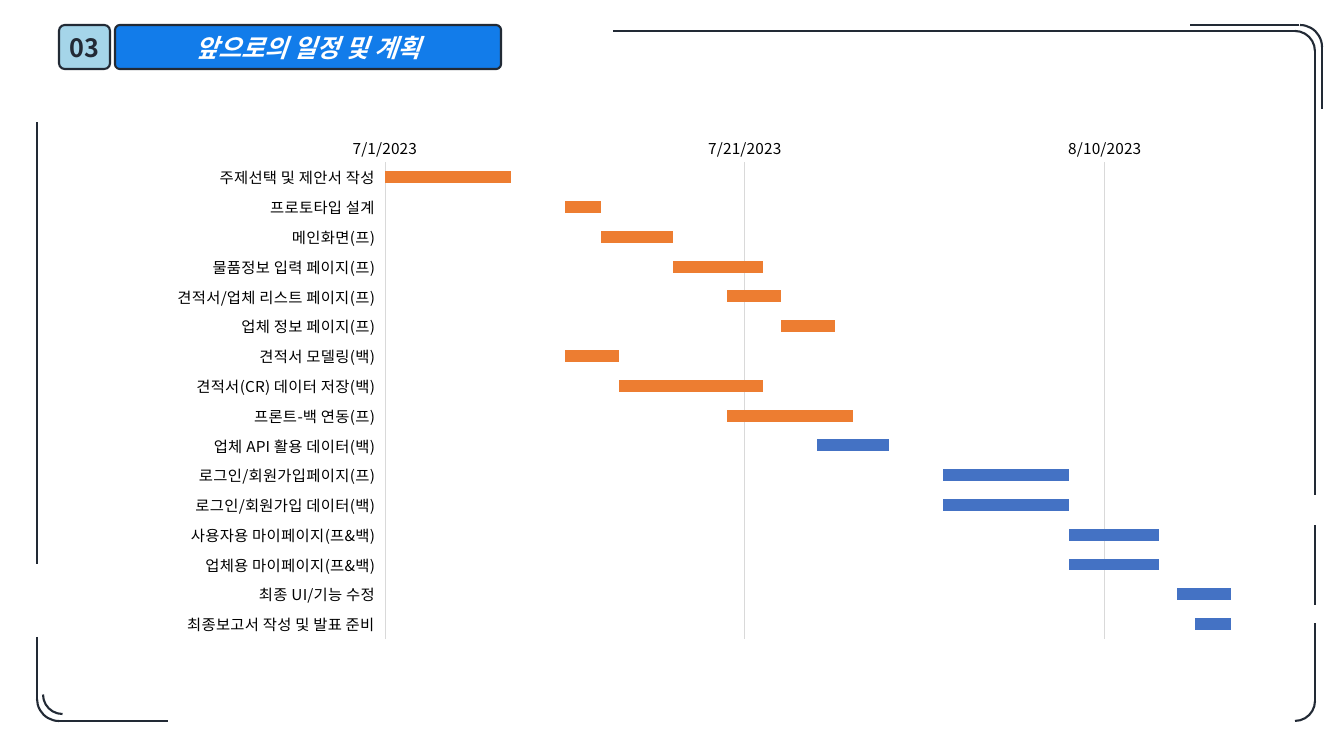
"""Build the project schedule slide: title badge, corner frame and Gantt chart."""
from dataclasses import dataclass

from lxml.etree import SubElement
from pptx import Presentation
from pptx.chart.data import CategoryChartData
from pptx.dml.color import RGBColor
from pptx.enum.chart import XL_AXIS_CROSSES as Crosses
from pptx.enum.chart import XL_CHART_TYPE as ChartType
from pptx.enum.chart import XL_TICK_LABEL_POSITION as LabelPosition
from pptx.enum.chart import XL_TICK_MARK as TickMark
from pptx.enum.shapes import MSO_CONNECTOR as Connector
from pptx.enum.shapes import MSO_SHAPE as Shape
from pptx.enum.text import MSO_ANCHOR as Anchor
from pptx.enum.text import PP_ALIGN as Align
from pptx.oxml.ns import qn
from pptx.util import Pt

SECTION = "03"
TITLE = "앞으로의 일정 및 계획"

FIRST_DAY = 45108
SPAN_DAYS = 47
GRID_DAYS = 20
DONE_TASKS = [
    ("주제선택 및 제안서 작성", 0, 7),
    ("프로토타입 설계", 10, 2),
    ("메인화면(프)", 12, 4),
    ("물품정보 입력 페이지(프)", 16, 5),
    ("견적서/업체 리스트 페이지(프)", 19, 3),
    ("업체 정보 페이지(프)", 22, 3),
    ("견적서 모델링(백)", 10, 3),
    ("견적서(CR) 데이터 저장(백)", 13, 8),
    ("프론트-백 연동(프)", 19, 7),
]
PLANNED_TASKS = [
    ("업체 API 활용 데이터(백)", 24, 4),
    ("로그인/회원가입페이지(프)", 31, 7),
    ("로그인/회원가입 데이터(백)", 31, 7),
    ("사용자용 마이페이지(프&백)", 38, 5),
    ("업체용 마이페이지(프&백)", 38, 5),
    ("최종 UI/기능 수정", 44, 4),
    ("최종보고서 작성 및 발표 준비", 45, 2),
]

TITLE_BOX = (115, 25, 386, 44)
SECTION_BOX = (59, 25, 51, 44)
CHART_BOX = (139, 137, 1115, 544)
PLOT_BOX = (385, 148, 846, 490)
FRAME_CORNERS = [
    (1275, 31, 40, 0),
    (1278, 25, 44, 0),
    (1275, 681, 40, 90),
    (43, 675, 39, 180),
    (37, 677, 44, 180),
]
FRAME_LINES = [
    (1295, 31, 613, 31),
    (1315, 495, 1315, 51),
    (1299, 25, 1190, 25),
    (1322, 109, 1322, 47),
    (1315, 605, 1315, 525),
    (1315, 703, 1315, 623),
    (58, 721, 168, 721),
    (37, 637, 37, 700),
    (37, 564, 37, 122),
]


@dataclass(frozen=True)
class Theme:
    ink: str = "222A35"
    title_fill: str = "127CEA"
    section_fill: str = "A5D5E9"
    white: str = "FFFFFF"
    label: str = "000000"
    grid: str = "D9D9D9"
    done: str = "ED7D31"
    planned: str = "4472C4"
    face: str = "Noto Sans CJK KR"
    title_size: int = 18
    label_size: int = 11
    frame_width: float = 1.5
    grid_width: float = 0.75


THEME = Theme()


def px(length):
    return round(length * 914400 / 100.8)


def style_font(font, size, color, bold=False, italic=False):
    font.name = THEME.face
    font.size = Pt(size)
    font.bold = bold
    font.italic = italic
    font.color.rgb = RGBColor.from_string(color)
    SubElement(font._rPr, qn("a:ea"), typeface=THEME.face)


def style_line(line, color, width):
    line.color.rgb = RGBColor.from_string(color)
    line.width = Pt(width)


def paint(fill, color):
    fill.solid()
    fill.fore_color.rgb = RGBColor.from_string(color)


def add_badge(slide, box, wording, fill, color, radius, wrap, italic):
    badge = slide.shapes.add_shape(Shape.ROUNDED_RECTANGLE, *map(px, box))
    badge.adjustments[0] = radius
    badge.shadow.inherit = False
    paint(badge.fill, fill)
    style_line(badge.line, THEME.ink, THEME.frame_width)
    frame = badge.text_frame
    frame.word_wrap = wrap
    frame.vertical_anchor = Anchor.MIDDLE
    heading = frame.paragraphs[0]
    heading.text = wording
    heading.alignment = Align.CENTER
    style_font(heading.font, THEME.title_size, color, True, italic)


def add_frame(slide):
    for left, top, size, turn in FRAME_CORNERS:
        corner = slide.shapes.add_shape(Shape.ARC, px(left), px(top), px(size), px(size))
        corner.rotation = turn
        corner.shadow.inherit = False
        corner.fill.background()
        style_line(corner.line, THEME.ink, THEME.frame_width)
    for ends in FRAME_LINES:
        edge = slide.shapes.add_connector(Connector.STRAIGHT, *map(px, ends))
        style_line(edge.line, THEME.ink, THEME.frame_width)
        SubElement(edge._element.spPr, qn("a:effectLst"))


def place_plot(chart):
    plot_area = chart._chartSpace.chart.plotArea
    for old_layout in plot_area.findall(qn("c:layout")):
        plot_area.remove(old_layout)
    layout = SubElement(plot_area, qn("c:layout"))
    plot_area.insert(0, layout)
    manual = SubElement(layout, qn("c:manualLayout"))
    left, top, width, height = CHART_BOX
    plot_left, plot_top, plot_width, plot_height = PLOT_BOX
    settings = {
        "layoutTarget": "inner", "xMode": "edge", "yMode": "edge",
        "x": (plot_left - left) / width, "y": (plot_top - top) / height,
        "w": plot_width / width, "h": plot_height / height,
    }
    for tag, setting in settings.items():
        SubElement(manual, qn(f"c:{tag}"), val=str(setting))


def add_schedule(slide):
    names, offsets, days = zip(*DONE_TASKS, *PLANNED_TASKS)
    schedule = CategoryChartData()
    schedule.categories = names
    schedule.add_series("Series 1", [FIRST_DAY + offset for offset in offsets])
    schedule.add_series("Series 2", days)
    chart = slide.shapes.add_chart(
        ChartType.BAR_STACKED, *map(px, CHART_BOX), schedule).chart
    chart.has_legend = False
    chart.has_title = False
    style_font(chart.font, THEME.label_size, THEME.label)
    place_plot(chart)

    bars = chart.plots[0]
    bars.gap_width = 150
    bars.overlap = 100
    bars.vary_by_categories = False
    starts, durations = bars.series
    starts.format.fill.background()
    starts.format.line.fill.background()
    paint(durations.format.fill, THEME.planned)
    for index in range(len(DONE_TASKS)):
        paint(durations.points[index].format.fill, THEME.done)

    tasks, dates = chart.category_axis, chart.value_axis
    for axis in (tasks, dates):
        axis.major_tick_mark = axis.minor_tick_mark = TickMark.NONE
        style_font(axis.tick_labels.font, THEME.label_size, THEME.label)
    tasks.reverse_order = True
    tasks.crosses = Crosses.MAXIMUM
    tasks.tick_label_position = LabelPosition.LOW
    style_line(tasks.format.line, THEME.grid, THEME.grid_width)
    dates.minimum_scale = FIRST_DAY
    dates.maximum_scale = FIRST_DAY + SPAN_DAYS
    dates.major_unit = GRID_DAYS
    dates.has_major_gridlines = True
    style_line(dates.major_gridlines.format.line, THEME.grid, THEME.grid_width)
    dates.format.line.fill.background()
    dates.tick_labels.number_format = "m/d/yyyy"
    dates.tick_labels.number_format_is_linked = False


def main():
    deck = Presentation()
    deck.slide_width, deck.slide_height = px(1344), px(756)
    slide = deck.slides.add_slide(deck.slide_layouts[6])
    add_badge(slide, TITLE_BOX, TITLE, THEME.title_fill, THEME.white, 0.11, True, True)
    add_badge(slide, SECTION_BOX, SECTION, THEME.section_fill, THEME.ink, 0.13, False, False)
    add_frame(slide)
    add_schedule(slide)
    deck.save("out.pptx")


if __name__ == "__main__":
    main()
